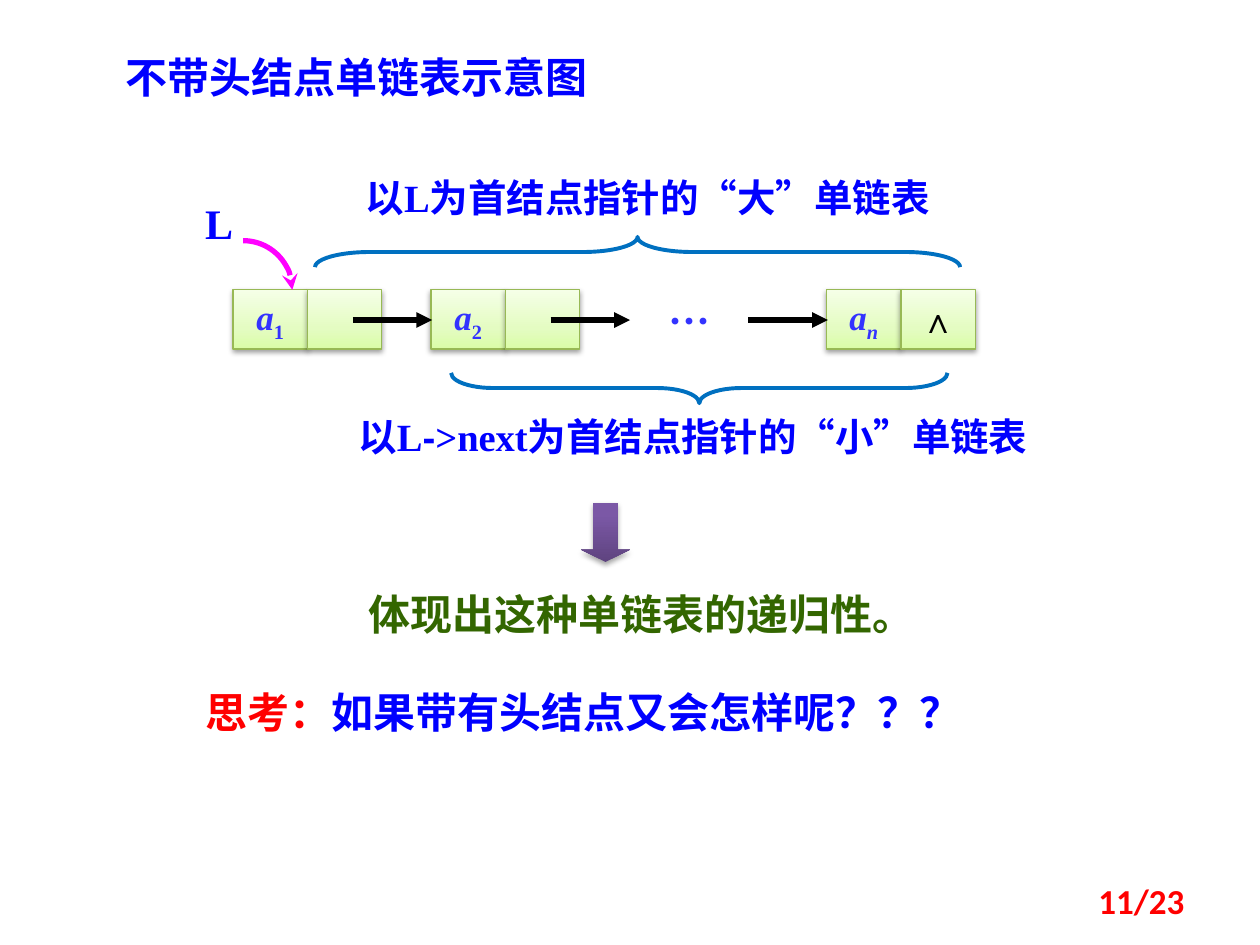
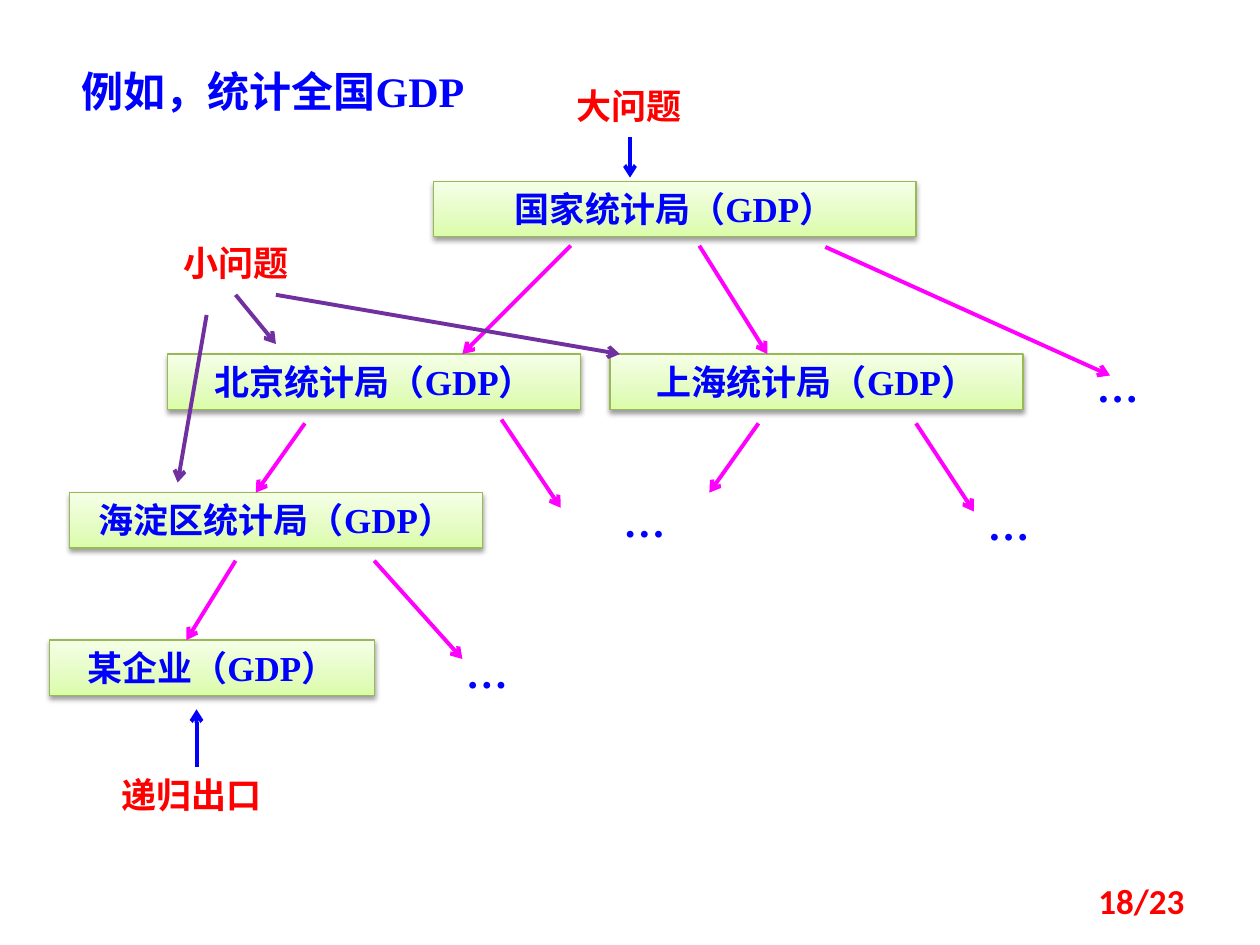
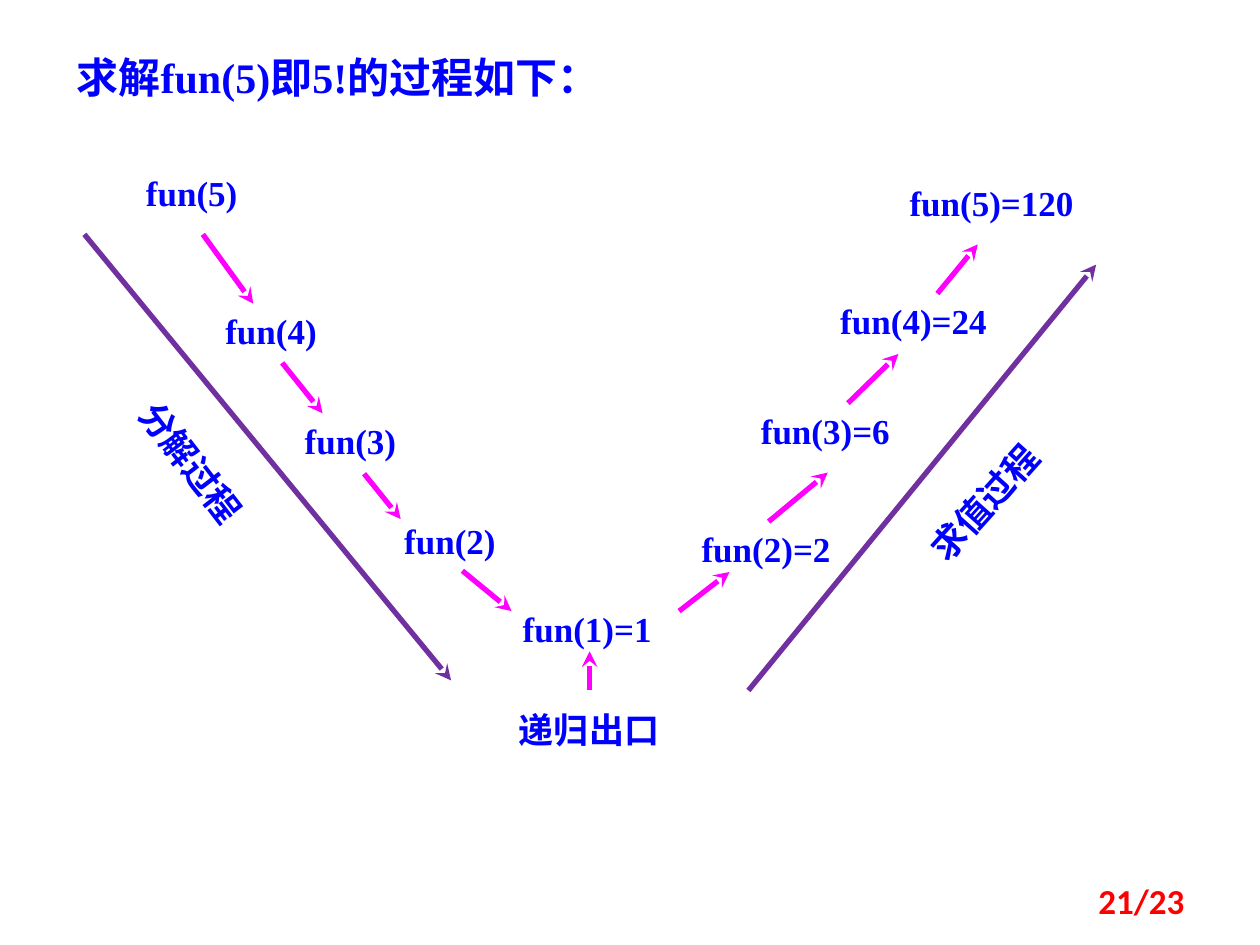
from dataclasses import dataclass

from lxml.etree import SubElement
from pptx import Presentation
from pptx.dml.color import RGBColor
from pptx.enum.shapes import MSO_CONNECTOR, MSO_SHAPE
from pptx.enum.text import MSO_ANCHOR, PP_ALIGN
from pptx.oxml.ns import qn
from pptx.util import Inches, Pt


@dataclass(frozen=True)
class Theme:
    blue: str = "0000FF"
    violet_blue: str = "3333FF"
    red: str = "FF0000"
    green: str = "336600"
    magenta: str = "FF00FF"
    purple: str = "7030A0"
    brace: str = "0070C0"
    black: str = "000000"
    box_line: str = "98B955"
    box_fill: tuple = ((0, "DAFDA7"), (35, "E4FCC2"), (100, "F5FFE7"))
    arrow_fill: tuple = ((0, "5F4480"), (80, "7B58A6"), (100, "7C57A8"))
    latin: str = "Times New Roman"
    cjk: str = "Noto Sans CJK SC"
    sans: str = "Arial"
    footer: str = "Calibri"
    title_size: int = 24
    caption_size: int = 22
    label_size: int = 20


T = Theme()
TOTAL_PAGES = 23
LABEL_H = 0.44
TITLE_H = 0.5
CENTER = PP_ALIGN.CENTER


def rgb(color):
    return RGBColor.from_string(color)


def add_run(p, text, color=T.blue, ea=T.cjk, baseline=0, **fmt):
    r = p.add_run()
    r.text = text
    values = {"name": T.latin, "size": T.label_size, "bold": True} | fmt
    values["size"] = Pt(values["size"])
    for key, value in values.items():
        setattr(r.font, key, value)
    r.font.color.rgb = rgb(color)
    rPr = r.font._element if hasattr(r.font, "_element") else r._r.get_or_add_rPr()
    SubElement(rPr, qn("a:ea")).set("typeface", ea)
    if baseline:
        rPr.set("baseline", str(baseline * 1000))


def write(sp, runs, align=PP_ALIGN.LEFT, anchor=MSO_ANCHOR.TOP, wrap=True, **fmt):
    """Fill a shape with one paragraph; runs is a string or (text, format) pairs."""
    tf = sp.text_frame
    tf.word_wrap = wrap
    tf.vertical_anchor = anchor
    p = tf.paragraphs[0]
    p.alignment = align
    for text, extra in [(runs, {})] if isinstance(runs, str) else runs:
        add_run(p, text, **(fmt | extra))


def add_text(s, box, runs, rotation=0, **fmt):
    sp = s.shapes.add_textbox(*map(Inches, box))
    sp.rotation = rotation
    write(sp, runs, **fmt)


def add_title(s, left, top, width, text, **fmt):
    add_text(s, (left, top, width, TITLE_H), text, size=T.title_size, **fmt)


def add_dots(s, box, **fmt):
    fmt = {"name": T.latin} | fmt
    add_text(s, box, "…", align=CENTER, size=T.title_size, ea=fmt["name"], **fmt)


def add_page_number(s, number):
    add_text(s, (7.17, 6.95, 2.33, 0.4), f"{number}/{TOTAL_PAGES}", color=T.red,
             name=T.footer, align=PP_ALIGN.RIGHT, anchor=MSO_ANCHOR.MIDDLE)


def style_line(shape, color, width, head=None):
    shape.line.color.rgb = rgb(color)
    shape.line.width = Pt(width)
    if head:
        SubElement(shape.line._get_or_add_ln(), qn("a:tailEnd")).set("type", head)


def add_arrow(s, start, end, color=T.magenta, width=2.25, head="arrow"):
    line = s.shapes.add_connector(MSO_CONNECTOR.STRAIGHT, *map(Inches, (*start, *end)))
    style_line(line, color, width, head)
    SubElement(line._element.spPr, qn("a:effectLst"))


def add_arrows(s, left, top, arrows, **fmt):
    """Draw (x1, y1, x2, y2) arrows measured from the given corner."""
    for x1, y1, x2, y2 in arrows:
        add_arrow(s, (left + x1, top + y1), (left + x2, top + y2), **fmt)


def fill_gradient(sp, stops):
    """Fill upwards, with the first stop at the bottom edge."""
    sp.fill.gradient()
    grad = sp._element.spPr.find(qn("a:gradFill"))
    gs_list = grad.find(qn("a:gsLst"))
    for gs in list(gs_list):
        gs_list.remove(gs)
    for position, color in stops:
        gs = SubElement(gs_list, qn("a:gs"), pos=str(position * 1000))
        SubElement(gs, qn("a:srgbClr"), val=color)
    grad.find(qn("a:lin")).set("ang", "16200000")


def cast_shadow(sp, alpha, distance):
    sp.shadow.inherit = False
    effects = sp._element.spPr.find(qn("a:effectLst"))
    shadow = SubElement(effects, qn("a:outerShdw"), blurRad=str(Pt(3.1)),
                        dist=str(Pt(distance)), dir="5400000", rotWithShape="0")
    color = SubElement(shadow, qn("a:srgbClr"), val=T.black)
    SubElement(color, qn("a:alpha"), val=str(alpha * 1000))


def add_box(s, box, runs="", **fmt):
    sp = s.shapes.add_shape(MSO_SHAPE.RECTANGLE, *map(Inches, box))
    fill_gradient(sp, T.box_fill)
    style_line(sp, T.box_line, 0.75)
    cast_shadow(sp, 38, 1.6)
    if runs:
        write(sp, runs, align=CENTER, **fmt)


def add_brace(s, left, top, length, rotation, bend):
    """Lay a right brace on its side, with its tip up (270) or down (90)."""
    depth = 0.24
    turn = (length - depth) / 2
    sp = s.shapes.add_shape(MSO_SHAPE.RIGHT_BRACE,
                            *map(Inches, (left + turn, top - turn, depth, length)))
    sp.rotation = rotation
    sp.adjustments[0] = bend
    sp.fill.background()
    style_line(sp, T.brace, 2.25)
    sp.shadow.inherit = False


def add_linked_list(s, left, top):
    cell_w, cell_h, pitch = 0.59, 0.47, 1.57
    cell = {"anchor": MSO_ANCHOR.MIDDLE, "wrap": False}
    for slot, index, italic, link in ((0, "1", False, ""), (1, "2", False, ""),
                                      (3, "n", True, "∧")):
        x = left + slot * pitch
        name = [("a", {"italic": True}), (index, {"italic": italic, "baseline": -25})]
        add_box(s, (x, top, cell_w, cell_h), name, color=T.violet_blue, **cell)
        add_box(s, (x + cell_w, top, cell_w, cell_h), link, color=T.black, **cell)
    add_dots(s, (left + 3.31, top, 0.63, TITLE_H), color=T.violet_blue, name=T.cjk)
    add_arrows(s, left, top, [(0.95 + i * pitch, 0.24, 1.58 + i * pitch, 0.24)
                              for i in range(3)],
               color=T.black, width=3, head="triangle")


def add_head_pointer(s, left, top):
    add_text(s, (left, top, 0.47, TITLE_H), "L", size=T.title_size)
    arc = s.shapes.add_shape(MSO_SHAPE.ARC,
                             *map(Inches, (left + 0.01, top + 0.39, 0.78, 0.78)))
    arc.fill.background()
    style_line(arc, T.magenta, 3, "stealth")
    arc.shadow.inherit = False


def add_conclusion(s, left, top):
    sp = s.shapes.add_shape(MSO_SHAPE.DOWN_ARROW,
                            *map(Inches, (left + 1.81, top, 0.39, 0.47)))
    sp.adjustments[1] = 0.25
    fill_gradient(sp, T.arrow_fill)
    sp.line.fill.background()
    cast_shadow(sp, 35, 1.8)
    add_text(s, (left, top + 0.63, 4.25, 0.51), "体现出这种单链表的递归性。",
             align=CENTER, color=T.green, size=T.title_size, name=T.cjk)


def list_slide(s):
    add_title(s, 0.9, 0.36, 4.8, "不带头结点单链表示意图", name=T.cjk)
    add_linked_list(s, 1.85, 2.3)
    add_head_pointer(s, 1.53, 1.52)
    caption = {"align": CENTER, "size": T.caption_size}
    add_text(s, (2.66, 1.33, 4.96, 0.47), "以L为首结点指针的“大”单链表", **caption)
    add_brace(s, 2.5, 1.88, 5.12, 270, 1.81)
    add_brace(s, 3.58, 2.96, 3.94, 90, 1.39)
    add_text(s, (2.58, 3.23, 5.84, 0.47),
             [("以L", {}), ("-", {"name": T.sans}), (">next为首结点指针的“小”单链表", {})],
             **caption)
    add_conclusion(s, 2.8, 3.99)
    add_title(s, 1.53, 5.4, 6.36,
              [("思考：", {"color": T.red}), ("如果带有头结点又会怎样呢？？？", {})], name=T.cjk)


def add_level(s, left, top, offices, dots=(), arrows=()):
    """Place one level of the tree: offices (x, width, name), dots (x, y, width)."""
    for x, width, name in offices:
        add_box(s, (left + x, top, width, LABEL_H), f"{name}（GDP）")
    for x, y, width in dots:
        add_dots(s, (left + x, top + y, width, TITLE_H))
    add_arrows(s, left, top, arrows)


def add_callout(s, left, top, width, text, arrows, color=T.blue):
    add_text(s, (left, top, width, LABEL_H), text, align=CENTER, color=T.red)
    add_arrows(s, left, top, arrows, color=color)


def gdp_slide(s):
    add_title(s, 0.55, 0.47, 3.52, "例如，统计全国GDP")
    add_level(s, 3.44, 1.44, [(0, 3.83, "国家统计局")])
    add_level(s, 1.33, 2.81, [(0, 3.28, "北京统计局"), (3.51, 3.28, "上海统计局")],
              [(7.11, 0, 0.86)],
              [(3.2, -0.86, 2.34, 0), (4.22, -0.86, 4.76, 0), (5.22, -0.85, 7.48, 0.17)])
    add_level(s, 0.55, 3.91, [(0, 3.28, "海淀区统计局")],
              [(3.98, -0.03, 1.17), (6.87, 0, 1.17)],
              [(1.87, -0.55, 1.48, 0), (3.43, -0.58, 3.9, 0.12),
               (5.47, -0.55, 5.08, 0), (6.72, -0.55, 7.18, 0.15)])
    add_level(s, 0.39, 5.08, [(0, 2.58, "某企业")], [(2.89, 0, 1.17)],
              [(1.48, -0.63, 1.09, 0), (2.58, -0.63, 3.28, 0.15)])
    add_callout(s, 0.7, 6.09, 1.64, "递归出口", [(0.86, 0, 0.86, -0.46)])
    add_callout(s, 4.37, 0.62, 1.25, "大问题", [(0.63, 0.47, 0.63, 0.79)])
    add_callout(s, 1.25, 1.87, 1.25, "小问题",
                [(0.62, 0.47, 0.94, 0.86), (0.94, 0.47, 3.67, 0.94),
                 (0.39, 0.63, 0.16, 1.96)], color=T.purple)


def add_step(s, left, top, width, text, *arrows, **fmt):
    add_text(s, (left, top, width, LABEL_H), text, **fmt)
    add_arrows(s, left, top, arrows, width=3, head="stealth")


def add_phase(s, start, end, label_at, text, rotation):
    """Draw the long arrow of one phase with its slanted label."""
    add_arrow(s, start, end, T.purple, 3, "stealth")
    add_text(s, (*label_at, 1.89, LABEL_H), text, rotation, align=CENTER)


def factorial_slide(s):
    add_title(s, 0.51, 0.36, 4.72, "求解fun(5)即5!的过程如下：")
    add_step(s, 1.06, 1.31, 1.1, "fun(5)")
    add_step(s, 1.69, 2.41, 1.1, "fun(4)", (-0.08, -0.55, 0.32, 0))
    add_step(s, 2.32, 3.28, 1.1, "fun(3)", (-0.08, -0.4, 0.24, 0))
    add_step(s, 3.11, 4.07, 1.1, "fun(2)", (-0.22, -0.31, 0.07, 0.05))
    add_step(s, 4.05, 4.77, 1.5, "fun(1)=1", (-0.38, -0.24, 0.01, 0.08))
    add_step(s, 3.73, 5.57, 1.89, "递归出口", (0.95, -0.09, 0.95, -0.4),
             align=CENTER, name=T.cjk)
    add_step(s, 5.47, 4.14, 1.34, "fun(2)=2", (-0.08, 0.71, 0.32, 0.4))
    add_step(s, 5.94, 3.2, 1.42, "fun(3)=6", (0.16, 0.94, 0.63, 0.55))
    add_step(s, 6.57, 2.33, 1.42, "fun(4)=24", (0.16, 0.87, 0.56, 0.48))
    add_step(s, 7.12, 1.39, 1.65, "fun(5)=120", (0.32, 0.94, 0.64, 0.55))
    add_phase(s, (0.67, 1.86), (3.58, 5.4), (0.57, 3.45), "分解过程", 52.5)
    add_phase(s, (5.94, 5.48), (8.7, 2.1), (6.87, 3.77), "求值过程", 311.9)


def main():
    prs = Presentation()
    prs.slide_width, prs.slide_height = Inches(10), Inches(7.5)
    for build, number in ((list_slide, 11), (gdp_slide, 18), (factorial_slide, 21)):
        s = prs.slides.add_slide(prs.slide_layouts[6])
        build(s)
        add_page_number(s, number)
    prs.save("out.pptx")


if __name__ == "__main__":
    main()
